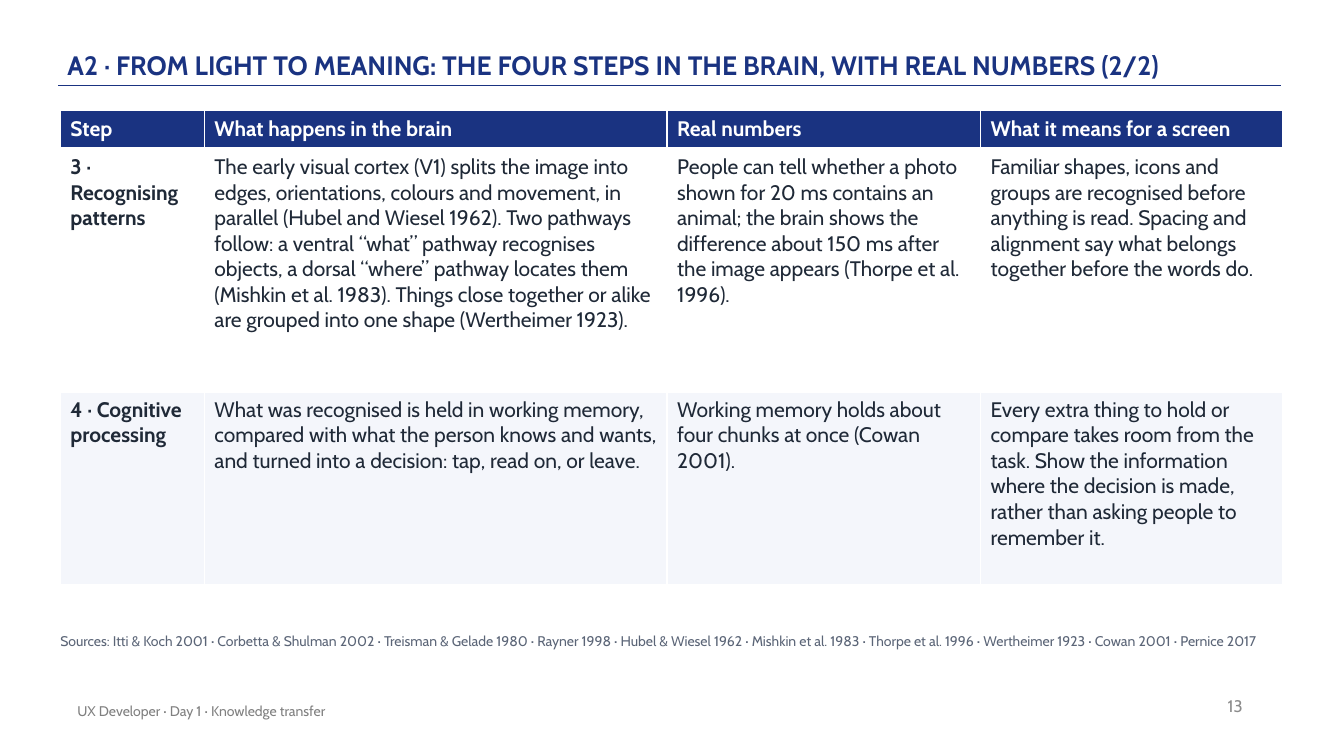
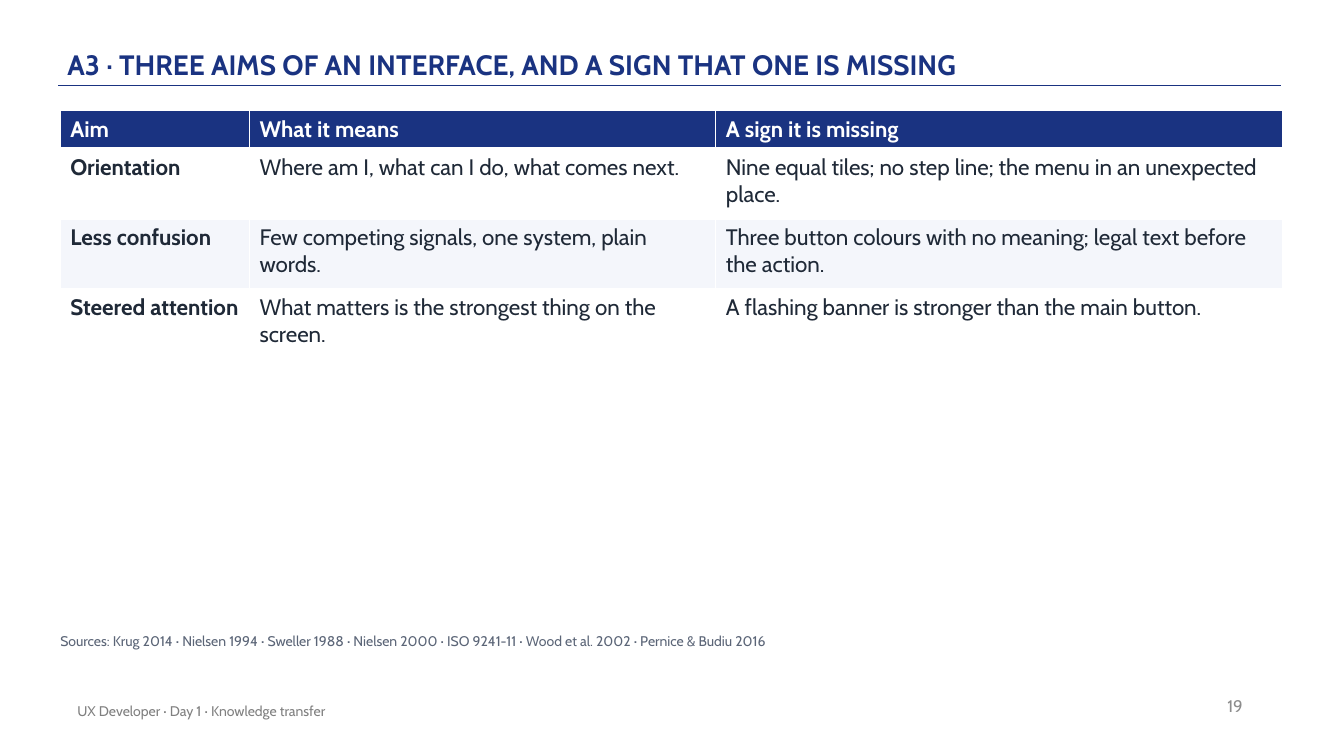
from lxml import etree
from pptx import Presentation
from pptx import util as u
from pptx.dml.color import RGBColor
from pptx.enum import shapes as sh
from pptx.enum import text as tx
from pptx.oxml import ns

# Shared look
FONT = "Cabin"
HUES = {
    "navy": "1A3381",
    "ink": "1F2937",
    "slate": "5B6577",
    "foot": "808080",
    "page": "8C8C8C",
    "band": "F4F6FB",
    "white": "FFFFFF",
}
FOOTER = "UX Developer · Day 1 · Knowledge transfer"
LEFT, INDENT = 1.52, 1.7
HEAD = 0.97

# Content of each slide
DECK = [
    dict(
        title="A2 · FROM LIGHT TO MEANING: THE FOUR STEPS IN THE BRAIN, "
              "WITH REAL NUMBERS (2/2)",
        title_size=19, size=15, page=13,
        cols=[3.63, 11.66, 7.9, 7.62], rows=[HEAD, 6.12, 4.85],
        cells=[
            ["Step", "What happens in the brain", "Real numbers",
             "What it means for a screen"],
            ["3 · Recognising patterns",
             "The early visual cortex (V1) splits the image into edges, "
             "orientations, colours and movement, in parallel (Hubel and "
             "Wiesel 1962). Two pathways follow: a ventral “what” pathway "
             "recognises objects, a dorsal “where” pathway locates them "
             "(Mishkin et al. 1983). Things close together or alike are "
             "grouped into one shape (Wertheimer 1923).",
             "People can tell whether a photo shown for 20 ms contains an "
             "animal; the brain shows the difference about 150 ms after the "
             "image appears (Thorpe et al. 1996).",
             "Familiar shapes, icons and groups are recognised before "
             "anything is read. Spacing and alignment say what belongs "
             "together before the words do."],
            ["4 · Cognitive processing",
             "What was recognised is held in working memory, compared with "
             "what the person knows and wants, and turned into a decision: "
             "tap, read on, or leave.",
             "Working memory holds about four chunks at once (Cowan 2001).",
             "Every extra thing to hold or compare takes room from the task. "
             "Show the information where the decision is made, rather than "
             "asking people to remember it."],
        ],
        sources="Sources: Itti & Koch 2001 · Corbetta & Shulman 2002 · "
                "Treisman & Gelade 1980 · Rayner 1998 · Hubel & Wiesel 1962 · "
                "Mishkin et al. 1983 · Thorpe et al. 1996 · Wertheimer 1923 · "
                "Cowan 2001 · Pernice 2017",
    ),
    dict(
        title="A3 · THREE AIMS OF AN INTERFACE, AND A SIGN THAT ONE IS MISSING",
        title_size=20, size=16, page=19,
        cols=[4.77, 11.75, 14.29], rows=[HEAD] + [1.76] * 3,
        cells=[
            ["Aim", "What it means", "A sign it is missing"],
            ["Orientation", "Where am I, what can I do, what comes next.",
             "Nine equal tiles; no step line; the menu in an unexpected place."],
            ["Less confusion",
             "Few competing signals, one system, plain words.",
             "Three button colours with no meaning; legal text before the "
             "action."],
            ["Steered attention",
             "What matters is the strongest thing on the screen.",
             "A flashing banner is stronger than the main button."],
        ],
        sources="Sources: Krug 2014 · Nielsen 1994 · Sweller 1988 · "
                "Nielsen 2000 · ISO 9241-11 · Wood et al. 2002 · "
                "Pernice & Budiu 2016",
    ),
]


def hue(name):
    return RGBColor.from_string(HUES[name])


def write(frame, words, size=10, color="ink", bold=False, align=None,
          lead=None, after=None):
    """Put one formatted paragraph into a text frame."""
    para = frame.paragraphs[0]
    run = para.add_run()
    run.text = words
    font = run.font
    font.name, font.size, font.bold = FONT, u.Pt(size), bold
    font.color.rgb = hue(color)
    if align is not None:
        para.alignment = align
    if lead is not None:
        para.line_spacing = lead
    if after is not None:
        para.space_after = u.Pt(after)


def label(slide, area, words, anchor=tx.MSO_ANCHOR.MIDDLE, pad=None, **style):
    """Add a text box; pad is (side, top and bottom) in cm."""
    frame = slide.shapes.add_textbox(*map(u.Cm, area)).text_frame
    frame.word_wrap = True
    frame.vertical_anchor = anchor
    if pad is not None:
        frame.margin_left = frame.margin_right = u.Cm(pad[0])
        frame.margin_top = frame.margin_bottom = u.Cm(pad[1])
    write(frame, words, **style)


def rule(slide):
    """Draw the line under the title."""
    line = slide.shapes.add_connector(
        sh.MSO_CONNECTOR.STRAIGHT,
        u.Cm(1.47), u.Cm(2.16), u.Cm(32.28), u.Cm(2.16))
    line.line.color.rgb = hue("navy")
    line.line.width = u.Pt(1)
    etree.SubElement(line._element.spPr, ns.qn("a:effectLst"))


def edge(cell, foot):
    """Give a cell white borders; foot is the lower width in points."""
    props = cell._tc.get_or_add_tcPr()
    for side, width in zip("LRTB", (1, 1, 1, foot)):
        line = etree.SubElement(props, ns.qn("a:ln" + side),
                                w=str(u.Pt(width)))
        fill = etree.SubElement(line, ns.qn("a:solidFill"))
        etree.SubElement(fill, ns.qn("a:srgbClr"), val=HUES["white"])


def grid(slide, cells, cols, rows, size):
    """Add the table: navy header, bold first column, banded rows."""
    table = slide.shapes.add_table(
        len(rows), len(cols), u.Cm(LEFT), u.Cm(2.79),
        u.Cm(sum(cols)), u.Cm(sum(rows))).table
    table.horz_banding = False
    for col, width in zip(table.columns, cols):
        col.width = u.Cm(width)
    for r, (row, height) in enumerate(zip(table.rows, rows)):
        row.height = u.Cm(height)
        top = r == 0
        shade = "navy" if top else "white" if r % 2 else "band"
        for c, cell in enumerate(row.cells):
            edge(cell, 3 if top else 1)
            cell.fill.solid()
            cell.fill.fore_color.rgb = hue(shade)
            write(cell.text_frame, cells[r][c], size=size,
                  color="white" if top else "ink", bold=top or c == 0)


def build(slide, data):
    # Title and rule
    rule(slide)
    label(slide, (INDENT, 0.3, 27.94, 1.83), data["title"],
          anchor=tx.MSO_ANCHOR.BOTTOM, pad=(0, 0.08),
          size=data["title_size"], color="navy", bold=True, lead=0.9)
    # Page number and footer
    label(slide, (23.95, 17.27, 7.62, 1.02), str(data["page"]), size=12,
          color="page", align=tx.PP_ALIGN.RIGHT)
    label(slide, (INDENT, 17.4, 17.02, 1.02), FOOTER, color="foot")
    # Table and sources
    grid(slide, data["cells"], data["cols"], data["rows"], data["size"])
    label(slide, (LEFT, 15.93, 30.73, 0.76), data["sources"],
          anchor=tx.MSO_ANCHOR.TOP, pad=(0, 0), color="slate", after=6)


def main():
    deck = Presentation()
    deck.slide_width, deck.slide_height = u.Cm(33.87), u.Cm(19.05)
    for data in DECK:
        build(deck.slides.add_slide(deck.slide_layouts[6]), data)
    deck.save("out.pptx")


if __name__ == "__main__":
    main()
